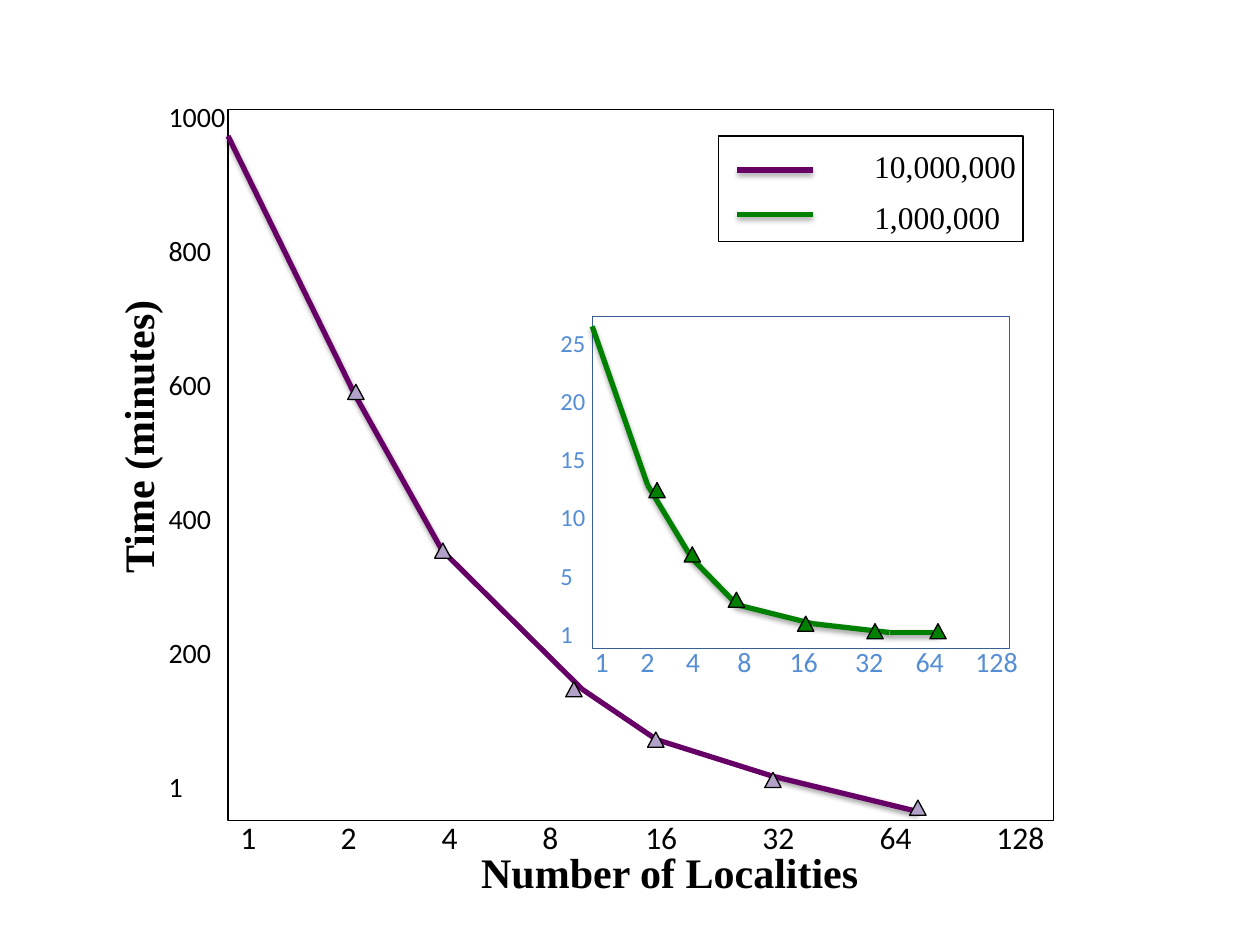
from dataclasses import dataclass, field

import pptx
import pptx.dml.color
import pptx.enum.shapes
import pptx.enum.text
import pptx.util
from lxml import etree
from pptx.oxml.ns import qn

# The slide is a grid of 100 columns by 75 rows
COLUMNS, ROWS = 100, 75
CELL = pptx.util.Inches(0.1)
BLACK, PURPLE, GREEN, LILAC = "000000", "660066", "008000", "B3A2C7"
INSET_FRAME, INSET_LABEL = "376092", "558ED5"
SERIF, SANS = "Times New Roman", "Calibri"
MARKER_WIDTH, MARKER_HEIGHT = 1.3, 1.2
SHAPES = pptx.enum.shapes.MSO_SHAPE
Box = tuple[float, float, float, float]
Point = tuple[float, float]


@dataclass
class Label:
    box: Box
    lines: list[str]
    size: int
    font: str = SANS
    color: str = BLACK
    bold: bool = False
    wrap: bool = False
    rotation: int = 0
    space_before: float = 0
    tabs: list[float] = field(default_factory=list)


@dataclass
class Series:
    color: str
    marker_fill: str
    points: list[Point]
    markers: list[Point]
    shaded: list[int]


def grid(*cells: float) -> list[int]:
    return [round(cell * CELL) for cell in cells]


def rgb(value: str) -> pptx.dml.color.RGBColor:
    return pptx.dml.color.RGBColor.from_string(value)


def apply(target, values: dict) -> None:
    for name, value in values.items():
        setattr(target, name, value)


def draw_shape(kind, box: Box, line: str, fill: str | None = None) -> None:
    shape = slide.shapes.add_shape(kind, *grid(*box))
    shape.shadow.inherit = False
    if fill:
        shape.fill.solid()
        shape.fill.fore_color.rgb = rgb(fill)
    else:
        shape.fill.background()
    shape.line.color.rgb = rgb(line)
    shape.line.width = pptx.util.Pt(0.75)


def draw_line(start: Point, end: Point, color: str, shaded: bool = True,
              alpha: int = 38, distance: float = 1.6) -> None:
    line = slide.shapes.add_connector(
        pptx.enum.shapes.MSO_CONNECTOR.STRAIGHT, *grid(*start, *end))
    line.line.color.rgb = rgb(color)
    line.line.width = pptx.util.Pt(3)
    effects = etree.SubElement(line._element.spPr, qn("a:effectLst"))
    if shaded:
        shadow = etree.SubElement(
            effects, qn("a:outerShdw"), blurRad=str(pptx.util.Pt(3.1)),
            dist=str(pptx.util.Pt(distance)), dir="5400000", rotWithShape="0")
        tint = etree.SubElement(shadow, qn("a:srgbClr"), val=BLACK)
        etree.SubElement(tint, qn("a:alpha"), val=str(alpha * 1000))


def draw_label(label: Label) -> None:
    holder = slide.shapes.add_textbox(*grid(*label.box))
    holder.rotation = label.rotation
    frame = holder.text_frame
    apply(frame, {"word_wrap": label.wrap,
                  "auto_size": pptx.enum.text.MSO_AUTO_SIZE.SHAPE_TO_FIT_TEXT})
    for index, text in enumerate(label.lines):
        paragraph = frame.add_paragraph() if index else frame.paragraphs[0]
        if index and label.space_before:
            paragraph.space_before = pptx.util.Pt(label.space_before)
        if label.tabs:
            stops = etree.SubElement(
                paragraph._p.get_or_add_pPr(), qn("a:tabLst"))
            for position in grid(*label.tabs):
                etree.SubElement(stops, qn("a:tab"), pos=str(position), algn="ctr")
        run = paragraph.add_run()
        run.text = text
        apply(run.font, {"size": pptx.util.Pt(label.size), "name": label.font,
                         "bold": label.bold})
        run.font.color.rgb = rgb(label.color)


def draw_series(series: Series) -> None:
    for index, ends in enumerate(zip(series.points, series.points[1:])):
        draw_line(*ends, series.color, index in series.shaded)
    for left, top in series.markers:
        draw_shape(SHAPES.ISOSCELES_TRIANGLE,
                   (left, top, MARKER_WIDTH, MARKER_HEIGHT), BLACK, series.marker_fill)


presentation = pptx.Presentation()
presentation.slide_width, presentation.slide_height = grid(COLUMNS, ROWS)
slide = presentation.slides.add_slide(presentation.slide_layouts[6])

# Plot frames
draw_shape(SHAPES.RECTANGLE, (18.1, 8.7, 65.5, 56.4), BLACK)
draw_shape(SHAPES.RECTANGLE, (47, 25.1, 33.1, 26.4), INSET_FRAME)

# Axis scales and titles
localities = "\t".join(str(2 ** power) for power in range(8))
labels = [
    Label((18.1, 64.4, 67, 4), [localities], 18, wrap=True,
          tabs=[8.6, 16.6, 24.6, 33.4, 42.7, 52, 61.9]),
    Label((12.4, 7.4, 6.6, 57.5), ["1000", "800", "600", "400", "200", "1"],
          16, space_before=57.4),
    Label((46.2, 50.7, 36.5, 3.7), [localities], 16, color=INSET_LABEL, wrap=True,
          tabs=[4.2, 7.8, 11.9, 16.6, 21.8, 26.6, 31.9]),
    Label((43.5, 25.5, 4, 26.8), ["25", "20", "15", "10", "5", "1"],
          14, color=INSET_LABEL, space_before=16.5),
    Label((37.2, 66.7, 32.2, 5), ["Number of Localities"], 24, SERIF, bold=True),
    Label((-3.1, 30, 28, 5), ["Time (minutes)"], 24, SERIF, bold=True,
          wrap=True, rotation=270),
]

# Legend
draw_shape(SHAPES.RECTANGLE, (57, 10.8, 24.2, 8.4), BLACK)
legend = [("10,000,000", PURPLE, 13.5, 11.2, 13.4),
          ("1,000,000", GREEN, 17, 15.2, 12.1)]
for name, color, key_row, text_row, width in legend:
    draw_line((58.5, key_row), (64.5, key_row), color, alpha=35, distance=1.8)
    labels.append(Label((68.4, text_row, width, 4), [name], 18, SERIF))
for label in labels:
    draw_label(label)

# Curves
ten_million = Series(
    PURPLE, LILAC,
    points=[(18.1, 10.8), (28.1, 31.2), (35.1, 43.7), (46.2, 54.7),
            (52.1, 58.7), (61.3, 61.6), (72.8, 64.4)],
    markers=[(27.6, 30.5), (34.5, 43.1), (44.9, 54.1),
             (51.4, 58.1), (60.7, 61.3), (72.2, 63.5)],
    shaded=[0, 1, 5])
one_million = Series(
    GREEN, GREEN,
    points=[(47, 25.9), (51.4, 38.5), (54.9, 44.3), (58.5, 48),
            (64.5, 49.5), (70.6, 50.2), (74.4, 50.2)],
    markers=[(51.5, 38.3), (54.3, 43.4), (57.8, 47),
             (63.3, 48.9), (68.8, 49.5), (73.8, 49.5)],
    shaded=list(range(6)))
for series in (ten_million, one_million):
    draw_series(series)

presentation.save("out.pptx")
